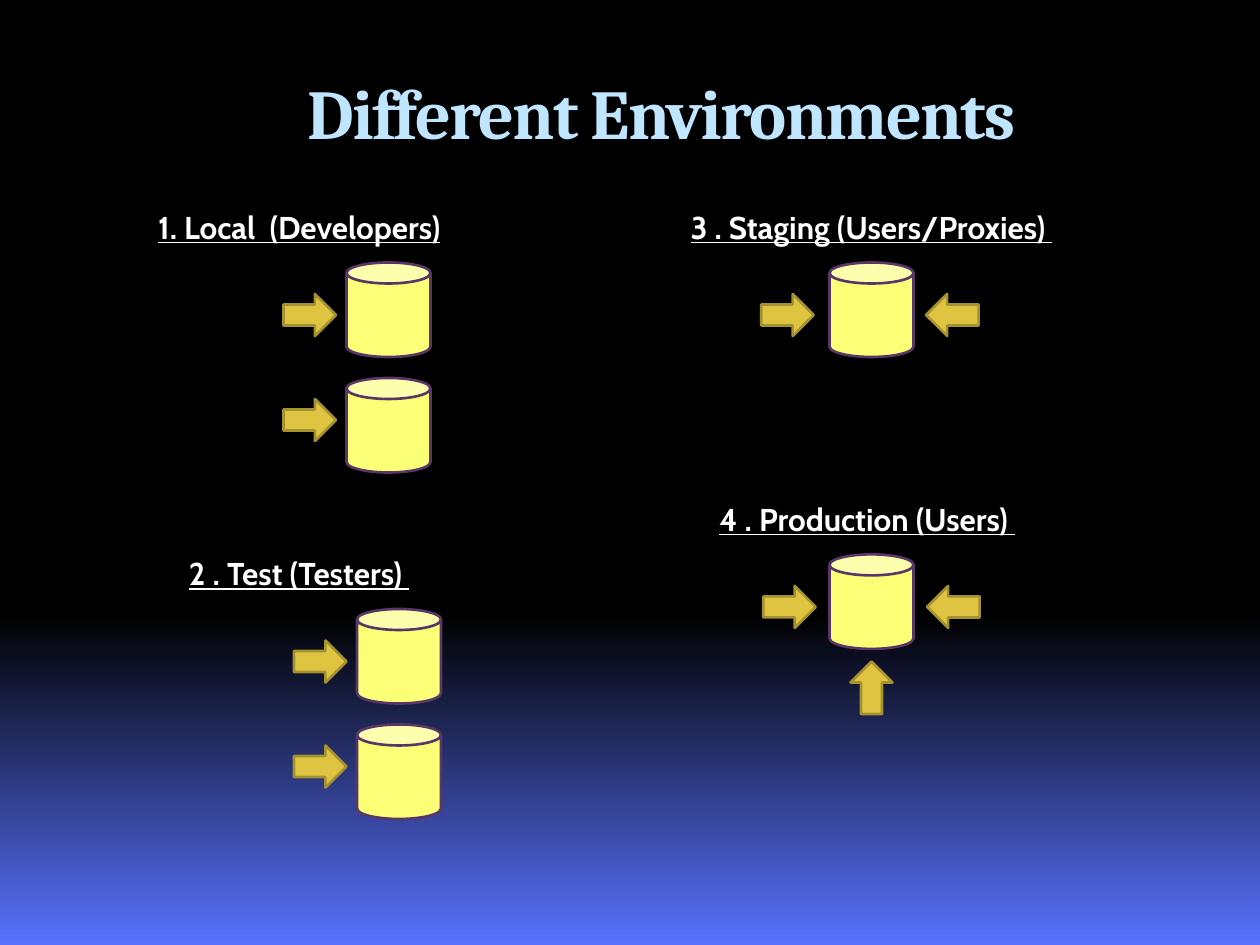
from copy import deepcopy

from pptx import Presentation
from pptx.dml.color import RGBColor
from pptx.enum.shapes import MSO_SHAPE
from pptx.enum.text import MSO_ANCHOR, PP_ALIGN
from pptx.oxml.ns import qn
from pptx.util import Inches, Pt

CAN = MSO_SHAPE.CAN
ARROW = MSO_SHAPE.RIGHT_ARROW
TOP = MSO_ANCHOR.TOP
CENTER = PP_ALIGN.CENTER

WIDE, HIGH = 10, 7.5
UNIT = 1 / 12  # grid step in inches: 120 columns by 90 rows
CAN_SIZE = (8, 9)
ARROW_SIZE = (5, 4)
LABEL_RISE, LABEL_HIGH = 5.8, 4.8

# label, label column, label width, can column, can rows,
# arrows as (column, row, turn)
GROUPS = [
    ("1. Local  (Developers)", 13, 31, 33, (25, 36),
     [(27, 28, 0), (27, 38, 0)]),
    ("2 . Test (Testers) ", 14, 29, 34, (58, 69),
     [(28, 61, 0), (28, 71, 0)]),
    ("3 . Staging (Users/Proxies) ", 60.5, 45, 79, (25,),
     [(72.5, 28, 0), (88.2, 28, 180)]),
    ("4 . Production (Users) ", 60.6, 44, 79, (52.8,),
     [(72.7, 55.8, 0), (88.3, 55.8, 180), (80.5, 63.5, 270)]),
]


def color(code):
    return RGBColor.from_string(code)


def grid(*cells):
    return [Inches(cell * UNIT) for cell in cells]


def shade(slide):
    """Hold black down to 65 % of the slide, then fade to blue."""
    fill = slide.background.fill
    fill.gradient()
    fill.gradient_angle = 270
    first = slide.element.find(".//" + qn("a:gs"))
    first.addnext(deepcopy(first))
    stops = [(0, "000000"), (0.65, "000000"), (1, "5972FF")]
    for stop, (place, code) in zip(fill.gradient_stops, stops):
        stop.position = place
        stop.color.rgb = color(code)


def write(shapes, text, cells, font, size, code):
    """Add a centred bold line of text and return its run."""
    box = shapes.add_textbox(*grid(*cells))
    frame = box.text_frame
    frame.word_wrap = True
    frame.vertical_anchor = TOP
    line = frame.paragraphs[0]
    line.alignment = CENTER
    run = line.add_run()
    run.text = text
    run.font.name = font
    run.font.size = Pt(size)
    run.font.bold = True
    run.font.color.rgb = color(code)
    return run


def draw(shapes, kind, cells, fill, edge, turn=0):
    shape = shapes.add_shape(kind, *grid(*cells))
    shape.shadow.inherit = False
    shape.fill.solid()
    shape.fill.fore_color.rgb = color(fill)
    shape.line.color.rgb = color(edge)
    shape.line.width = Pt(1.5)
    shape.rotation = turn


def cluster(slide, label, left, width, col, rows, arrows):
    """Group the cans of one environment with their label and arrows."""
    shapes = slide.shapes.add_group_shape().shapes
    for row in rows:
        draw(shapes, CAN, (col, row, *CAN_SIZE), "FAFF75", "5A3668")
    cells = (left, rows[0] - LABEL_RISE, width, LABEL_HIGH)
    run = write(shapes, label, cells, "Cabin", 18, "FFFFFF")
    run.font.underline = True
    for x, y, turn in arrows:
        draw(shapes, ARROW, (x, y, *ARROW_SIZE), "DEC441", "A49130", turn)


def main():
    deck = Presentation()
    deck.slide_width, deck.slide_height = Inches(WIDE), Inches(HIGH)
    slide = deck.slides.add_slide(deck.slide_layouts[6])
    shade(slide)
    title = write(slide.shapes, "Different Environments", (12, 6, 102, 12),
                  "Cambria", 40, "C0E5FF")
    title.font._element.set("spc", "-100")
    for group in GROUPS:
        cluster(slide, *group)
    deck.save("out.pptx")


if __name__ == "__main__":
    main()
